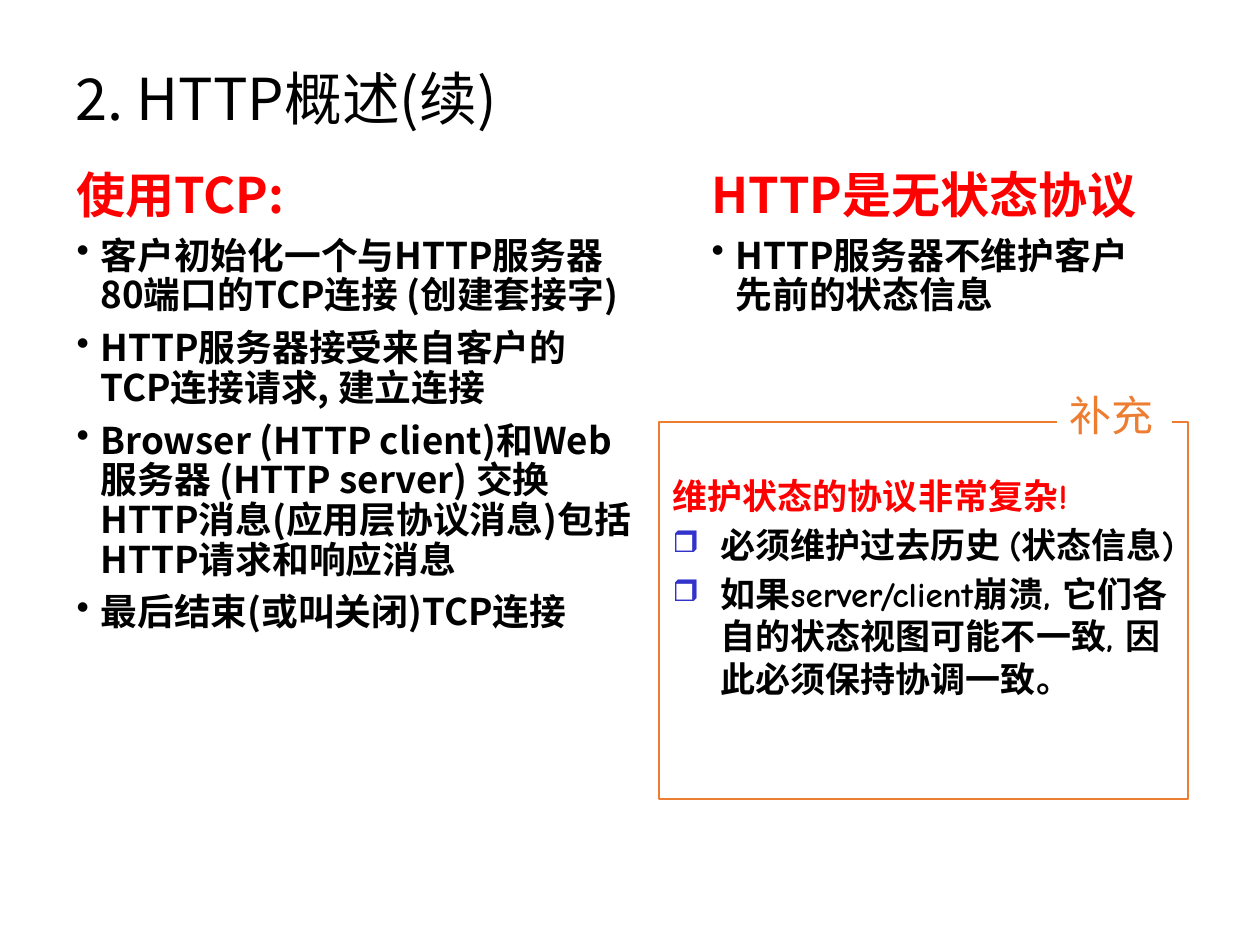
from lxml import etree
from pptx import Presentation
from pptx.dml.color import RGBColor
from pptx.enum import shapes, text
from pptx.oxml import ns
from pptx.util import Inches, Pt

COLORS = {
    "background": "FFFFFF",
    "body": "000000",
    "heading": "FF0000",
    "accent": "ED7D31",
    "bullet": "3333CC",
}
SANS = "Noto Sans CJK SC"
COMIC = "Comic Neue"


def color(name):
    return RGBColor.from_string(COLORS[name])


def set_font(paragraph, face, size, tone, bold=False):
    font = paragraph.font
    font.name, font.size, font.bold = face, Pt(size), bold
    font.color.rgb = color(tone)
    defaults = paragraph._p.pPr.find(ns.qn("a:defRPr"))
    etree.SubElement(defaults, ns.qn("a:ea"), typeface=SANS)


def set_hanging(paragraph, indent, bullet=None, tone=None, percent=100):
    """Hang the first line by indent, with an optional bullet character."""
    props = paragraph._p.get_or_add_pPr()
    props.set("marL", str(Inches(indent)))
    props.set("indent", str(-Inches(indent)))
    if not bullet:
        etree.SubElement(props, ns.qn("a:buNone"))
        return
    if tone:
        fill = etree.SubElement(props, ns.qn("a:buClr"))
        etree.SubElement(fill, ns.qn("a:srgbClr"), val=COLORS[tone])
    etree.SubElement(props, ns.qn("a:buSzPct"), val=str(percent * 1000))
    etree.SubElement(props, ns.qn("a:buChar"), char=bullet)


def add_text_frame(slide, left, top, width, height, wrap=True):
    box = slide.shapes.add_textbox(
        Inches(left), Inches(top), Inches(width), Inches(height))
    box.text_frame.word_wrap = wrap
    return box.text_frame


def add_headed_list(frame, heading, points, face, sizes, indent, gap,
                    line_spacing=None, **bullet):
    """Fill a frame with a red heading and bold bulleted points."""
    for index, line in enumerate([heading, *points]):
        paragraph = frame.add_paragraph() if index else frame.paragraphs[0]
        paragraph.text = line
        set_hanging(paragraph, indent, **(bullet if index else {}))
        if line_spacing:
            paragraph.line_spacing = line_spacing
        if index:
            paragraph.space_before = Pt(gap)
        set_font(paragraph, face, sizes[min(index, 1)],
                 "body" if index else "heading", bold=True)


def add_rectangle(slide, left, top, width, height, outline=None):
    rectangle = slide.shapes.add_shape(
        shapes.MSO_SHAPE.RECTANGLE,
        Inches(left), Inches(top), Inches(width), Inches(height))
    rectangle.shadow.inherit = False
    rectangle.fill.solid()
    rectangle.fill.fore_color.rgb = color("background")
    if outline:
        rectangle.line.color.rgb = color(outline)
        rectangle.line.width = Pt(1)
    else:
        rectangle.line.fill.background()


def place_title(slide, left, top, width, height):
    title = slide.shapes.title
    title.left, title.top = Inches(left), Inches(top)
    title.width, title.height = Inches(width), Inches(height)
    frame = title.text_frame
    frame.text = "2. HTTP概述(续)"
    frame.auto_size = text.MSO_AUTO_SIZE.NONE
    frame.vertical_anchor = text.MSO_ANCHOR.MIDDLE
    paragraph = frame.paragraphs[0]
    paragraph.alignment = text.PP_ALIGN.LEFT
    paragraph.line_spacing = 0.9
    set_font(paragraph, SANS, 33, "body")


def add_column(slide, left, top, width, height, heading, points):
    frame = add_text_frame(slide, left, top, width, height)
    add_headed_list(frame, heading, points, SANS, (28, 21), 0.19, 7.5,
                    line_spacing=0.9, bullet="•")


def add_supplement(slide, left, top, width, height):
    """Outlined panel whose label interrupts the top border."""
    add_rectangle(slide, left, top, width, height, outline="accent")
    add_rectangle(slide, left + 3.16, top - 0.08, 0.91, 0.32)
    frame = add_text_frame(slide, left + 0.01, top + 0.37, 4.28, 2.48)
    add_headed_list(
        frame, "维护状态的协议非常复杂!",
        ["必须维护过去历史 (状态信息)",
         "如果server/client崩溃, 它们各自的状态视图可能不一致, "
         "因此必须保持协调一致。"],
        COMIC, (20, 20), 0.38, 4, bullet="❒", tone="bullet", percent=85)
    label = add_text_frame(slide, left + 3.16, top - 0.31, 0.87, 0.5, wrap=False)
    label.auto_size = text.MSO_AUTO_SIZE.SHAPE_TO_FIT_TEXT
    paragraph = label.paragraphs[0]
    paragraph.text = "补充"
    paragraph.alignment = text.PP_ALIGN.CENTER
    set_font(paragraph, COMIC, 24, "accent")


def main():
    deck = Presentation()
    deck.slide_width, deck.slide_height = Inches(10), Inches(7.5)
    slide = deck.slides.add_slide(deck.slide_layouts.get_by_name("Title Only"))
    place_title(slide, 0.5, 0.3, 9, 1.01)
    add_column(slide, 0.51, 1.31, 4.6, 4.95, "使用TCP:", [
        "客户初始化一个与HTTP服务器80端口的TCP连接 (创建套接字)",
        "HTTP服务器接受来自客户的TCP连接请求, 建立连接",
        "Browser (HTTP client)和Web服务器 (HTTP server) "
        "交换HTTP消息(应用层协议消息)包括HTTP请求和响应消息",
        "最后结束(或叫关闭)TCP连接",
    ])
    add_column(slide, 5.55, 1.31, 3.68, 1.48, "HTTP是无状态协议",
               ["HTTP服务器不维护客户先前的状态信息"])
    add_supplement(slide, 5.23, 3.35, 4.2, 2.99)
    deck.save("out.pptx")


if __name__ == "__main__":
    main()
